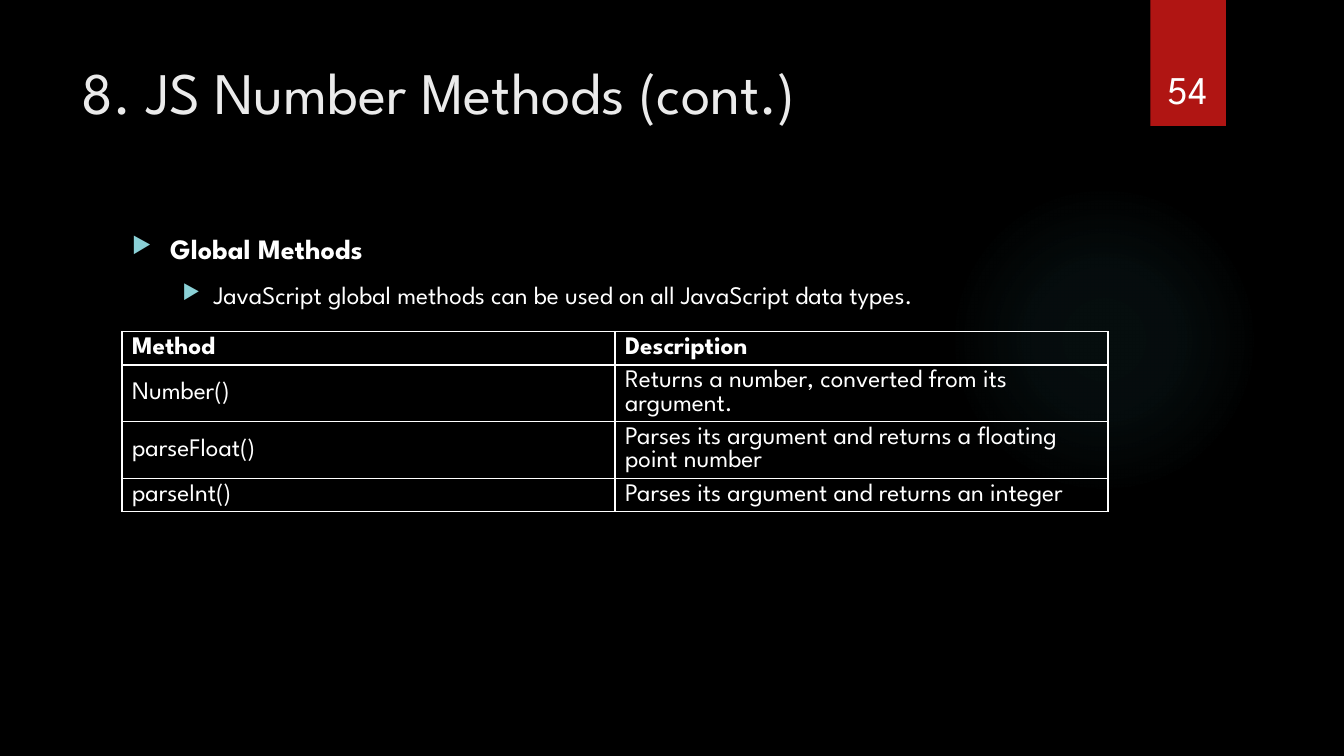
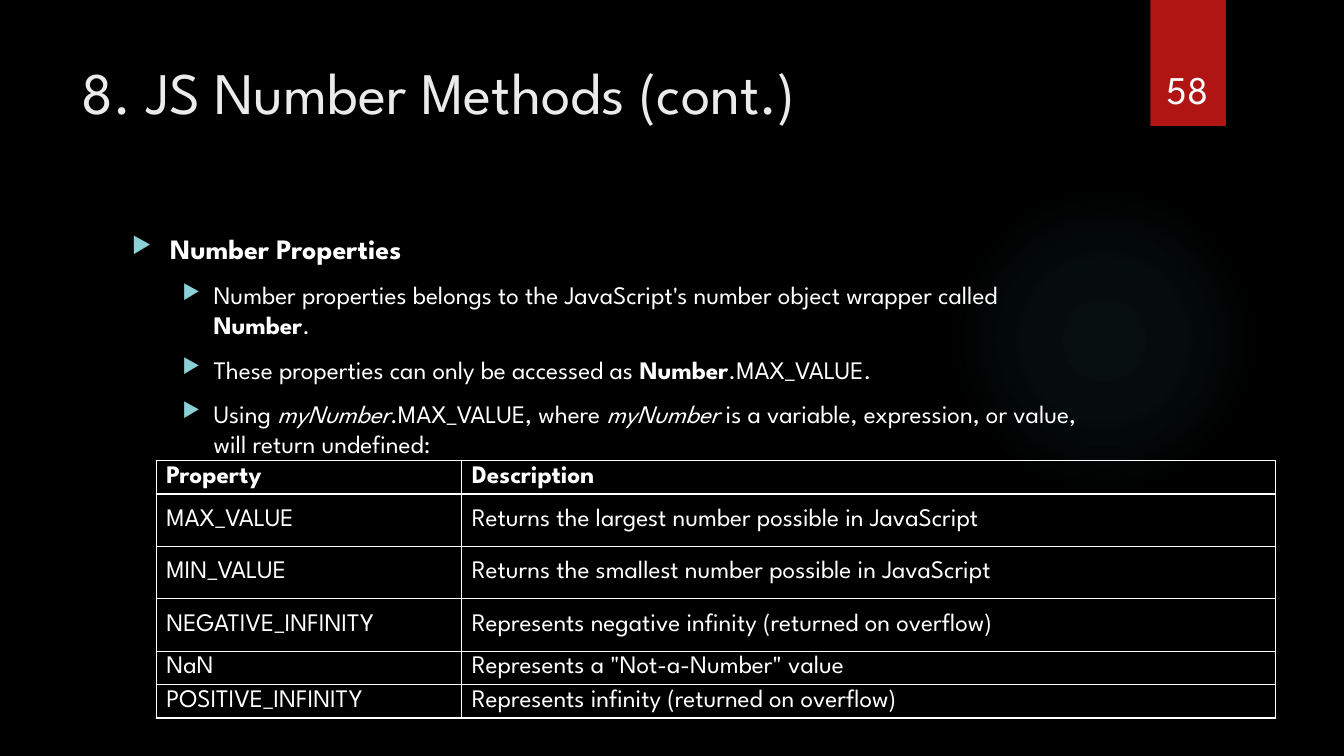
import pptx
import pptx.dml.color
import pptx.enum.shapes
import pptx.enum.text
import pptx.oxml
import pptx.oxml.ns
import pptx.util
from pptx.util import Inches

COLORS = {
    "background": "000000",
    "glow": "50B9C1",
    "ribbon": "B01513",
    "title": "EBEBEB",
    "text": "FFFFFF",
    "bullet": "8AD0D6",
    "border": "FFFFFF",
}
FONT = "League Spartan"
TITLE = "8. JS Number Methods (cont.)"
TEXT_LEADING = 1.2
TABLE_LEADING = 0.92
INDENTS = [(0.38, 0.38), (0.81, 0.31)]
BODY_SIZES = [20, 18]


def rgb(name):
    return pptx.dml.color.RGBColor.from_string(COLORS[name])


def xml(text):
    tag, rest = text.split(" ", 1) if " " in text.split(">", 1)[0] else text.split(">", 1)
    joint = " " if " " in text.split(">", 1)[0] else ">"
    return pptx.oxml.parse_xml(f"{tag} {pptx.oxml.ns.nsdecls('a')}{joint}{rest}")


def format_run(r, size, color="text", bold=False, italic=False):
    r.font.name = FONT
    r.font.size = pptx.util.Pt(size)
    r.font.color.rgb = rgb(color)
    r.font.bold = bold
    r.font.italic = italic


def set_leading(p, size, factor):
    p.line_spacing = pptx.util.Pt(round(size * factor, 1))


def add_text_box(s, left, top, width, height):
    box = s.shapes.add_textbox(Inches(left), Inches(top), Inches(width), Inches(height))
    tf = box.text_frame
    tf.word_wrap = True
    return tf


def add_plain_shape(s, kind, left, top, width, height):
    sp = s.shapes.add_shape(kind, Inches(left), Inches(top), Inches(width), Inches(height))
    sp.shadow.inherit = False
    sp.line.fill.background()
    return sp


def add_glow(s):
    sp = add_plain_shape(s, pptx.enum.shapes.MSO_SHAPE.OVAL, 9.41, 1.83, 3.08, 3.08)
    stops = "".join(
        f'<a:gs pos="{pos * 1000}"><a:srgbClr val="{COLORS["glow"]}">'
        f'<a:alpha val="{alpha * 1000}"/></a:srgbClr></a:gs>'
        for pos, alpha in [(0, 7), (36, 6), (69, 0)]
    )
    gradient = xml(
        f'<a:gradFill rotWithShape="1"><a:gsLst>{stops}</a:gsLst><a:path path="circle">'
        '<a:fillToRect l="50000" t="50000" r="50000" b="50000"/></a:path></a:gradFill>'
    )
    sp._element.spPr.find(pptx.oxml.ns.qn("a:prstGeom")).addnext(gradient)


def add_ribbon(s, number):
    sp = add_plain_shape(s, pptx.enum.shapes.MSO_SHAPE.RECTANGLE, 11.41, 0, 0.75, 1.25)
    sp.fill.solid()
    sp.fill.fore_color.rgb = rgb("ribbon")
    shadow = xml(
        f'<a:outerShdw blurRad="{pptx.util.Pt(3)}" dist="{pptx.util.Pt(2)}" dir="5400000">'
        '<a:srgbClr val="000000"><a:alpha val="45000"/></a:srgbClr></a:outerShdw>'
    )
    sp._element.spPr.find(pptx.oxml.ns.qn("a:effectLst")).append(shadow)
    tf = add_text_box(s, 11.32, 0.32, 0.92, 0.84)
    tf.vertical_anchor = pptx.enum.text.MSO_ANCHOR.BOTTOM
    p = tf.paragraphs[0]
    p.text = str(number)
    p.alignment = pptx.enum.text.PP_ALIGN.CENTER
    format_run(p.runs[0], 28)


def add_title(s, text):
    p = add_text_box(s, 0.71, 0.5, 10.29, 1.53).paragraphs[0]
    p.text = text
    set_leading(p, 42, TEXT_LEADING)
    format_run(p.runs[0], 42, "title")


def set_bullet(p, level):
    margin, hanging = INDENTS[level]
    p.level = level
    pPr = p._p.get_or_add_pPr()
    pPr.set("marL", str(Inches(margin)))
    pPr.set("indent", str(-Inches(hanging)))
    pPr.append(xml(f'<a:buClr><a:srgbClr val="{COLORS["bullet"]}"/></a:buClr>'))
    pPr.append(xml('<a:buSzPct val="80000"/>'))
    pPr.append(xml('<a:buChar char="▶"/>'))


def add_bullets(s, height, heading, points):
    tf = add_text_box(s, 1.21, 2.25, 9.78, height)
    items = [(0, [(heading, "b")])] + [(1, runs) for runs in points]
    for i, (level, runs) in enumerate(items):
        p = tf.add_paragraph() if i else tf.paragraphs[0]
        size = BODY_SIZES[level]
        set_leading(p, size, TEXT_LEADING)
        p.space_before = pptx.util.Pt(10)
        set_bullet(p, level)
        for text, style in runs:
            r = p.add_run()
            r.text = text
            format_run(r, size, bold=style == "b", italic=style == "i")


def set_borders(cell):
    tcPr = cell._tc.get_or_add_tcPr()
    for i, side in enumerate("LRTB"):
        tcPr.insert(i, xml(
            f'<a:ln{side} w="{pptx.util.Pt(1)}"><a:solidFill>'
            f'<a:srgbClr val="{COLORS["border"]}"/></a:solidFill></a:ln{side}>'
        ))


def add_grid(s, left, top, widths, heights, rows):
    frame = s.shapes.add_table(
        len(rows), len(widths), Inches(left), Inches(top),
        Inches(sum(widths)), Inches(sum(heights)))
    table = frame.table
    for column, width in zip(table.columns, widths):
        column.width = Inches(width)
    for i, (values, height) in enumerate(zip(rows, heights)):
        table.rows[i].height = Inches(height)
        for j, value in enumerate(values):
            cell = table.cell(i, j)
            cell.fill.background()
            cell.vertical_anchor = pptx.enum.text.MSO_ANCHOR.MIDDLE
            set_borders(cell)
            p = cell.text_frame.paragraphs[0]
            p.text = value
            set_leading(p, 18, TABLE_LEADING)
            format_run(p.runs[0], 18, bold=i == 0)


def add_slide(prs, number):
    s = prs.slides.add_slide(prs.slide_layouts[6])
    s.background.fill.solid()
    s.background.fill.fore_color.rgb = rgb("background")
    add_glow(s)
    add_ribbon(s, number)
    add_title(s, TITLE)
    return s


def main():
    prs = pptx.Presentation()
    prs.slide_width = Inches(13.33)
    prs.slide_height = Inches(7.5)

    s = add_slide(prs, 54)
    add_bullets(s, 4.59, "Global Methods", [
        [("JavaScript global methods can be used on all JavaScript data types.", "")],
    ])
    add_grid(s, 1.21, 3.29, [4.89, 4.89], [0.33, 0.56, 0.56, 0.33], [
        ("Method", "Description"),
        ("Number()", "Returns a number, converted from its argument."),
        ("parseFloat()", "Parses its argument and returns a floating point number"),
        ("parseInt()", "Parses its argument and returns an integer"),
    ])

    s = add_slide(prs, 58)
    add_bullets(s, 4.96, "Number Properties", [
        [("Number properties belongs to the JavaScript's number object wrapper called ", ""),
         ("Number", "b"), (".", "")],
        [("These properties can only be accessed as ", ""),
         ("Number", "b"), (".MAX_VALUE.", "")],
        [("Using ", ""), ("myNumber", "i"), (".MAX_VALUE, where ", ""), ("myNumber", "i"),
         (" is a variable, expression, or value, will return undefined:", "")],
    ])
    add_grid(s, 1.55, 4.57, [3.03, 8.07], [0.33, 0.52, 0.52, 0.52, 0.33, 0.33], [
        ("Property", "Description"),
        ("MAX_VALUE", "Returns the largest number possible in JavaScript"),
        ("MIN_VALUE", "Returns the smallest number possible in JavaScript"),
        ("NEGATIVE_INFINITY", "Represents negative infinity (returned on overflow)"),
        ("NaN", 'Represents a "Not-a-Number" value'),
        ("POSITIVE_INFINITY", "Represents infinity (returned on overflow)"),
    ])

    prs.save("out.pptx")


if __name__ == "__main__":
    main()
